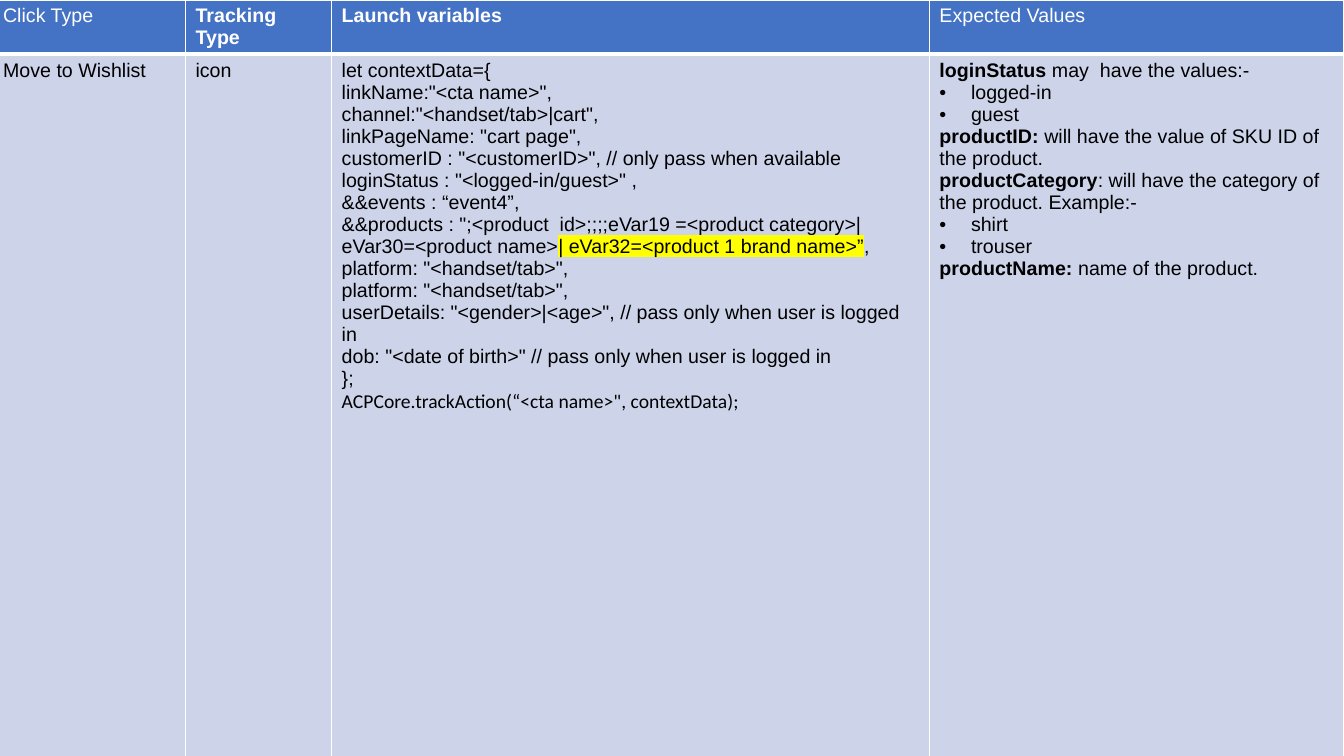
import pptx
import pptx.dml.color
import pptx.oxml
import pptx.oxml.ns
import pptx.util
from pptx.util import Pt

WHITE, BLACK = "FFFFFF", "000000"
HEADER_FILL, BODY_FILL, MARKER = "4472C4", "CDD4EA", "FFFF00"
COLUMN_WIDTHS = (137.5, 104.4, 427, 296)
ROW_HEIGHTS = (27.4, 512.6)
BULLET_INDENT = 22.5

# Each header is a (text, bold) pair.
HEADERS = (("Click Type", False), ("Tracking Type", True),
           ("Launch variables", True), ("Expected Values", False))

# A paragraph is a list of (text, style) spans; "\n" is a line break.
LAUNCH_VARIABLES = [
    [("let contextData={", {})],
    [('linkName:"<cta name>",', {})],
    [('channel:"<handset/tab>|cart",', {})],
    [('linkPageName: "cart page",', {})],
    [('customerID : "<customerID>", // only pass when available', {})],
    [('loginStatus : "<logged-in/guest>" ,\n&&events : “event4”,', {})],
    [('&&products : ";<product  id>;;;;eVar19 =<product category>|eVar30=<product name>', {}),
     ("| eVar32=<product 1 brand name>”", {"highlight": MARKER}),
     (",", {})],
    [('platform: "<handset/tab>",', {})],
    [('platform: "<handset/tab>",\n'
      'userDetails: "<gender>|<age>", // pass only when user is logged in\n'
      'dob: "<date of birth>" // pass only when user is logged in', {})],
    [("};", {})],
    [('ACPCore.trackAction(“<cta name>", contextData);', {"font": "Calibri"})],
]
BOLD = {"bold": True}
BULLET = "•"
EXPECTED_VALUES = [
    [("loginStatus ", BOLD), ("may  have the values:-", {})],
    [(BULLET, None), ("logged-in", {})],
    [(BULLET, None), ("guest", {})],
    [("productID:", BOLD), (" will have the value of SKU ID of the product.", {})],
    [("productCategory", BOLD),
     (": will have the category of the product. Example:-", {})],
    [(BULLET, None), ("shirt", {})],
    [(BULLET, None), ("trouser", {})],
    [("productName: ", BOLD), ("name of the product.", {})],
]


def color(hex_value):
    return pptx.dml.color.RGBColor.from_string(hex_value)


def xml(markup):
    """Parse one element, adding the a: namespace after its tag name and a space."""
    tag, rest = markup.split(" ", 1)
    return pptx.oxml.parse_xml(f"{tag} {pptx.oxml.ns.nsdecls('a')} {rest}")


def add_span(para, text, ink, font="Arial", bold=False, highlight=None):
    for index, line in enumerate(text.split("\n")):
        if index:
            para.add_line_break()
        span = para.add_run()
        span.text = line
        span.font.size = Pt(14)
        span.font.bold = bold
        span.font.color.rgb = color(ink)
        if highlight:
            fill = span.font._element.find(pptx.oxml.ns.qn("a:solidFill"))
            fill.addnext(xml(f'<a:highlight ><a:srgbClr val="{highlight}"/></a:highlight>'))
        span.font.name = font


def add_bullet(para):
    properties = para._p.get_or_add_pPr()
    properties.set("marL", str(Pt(BULLET_INDENT)))
    properties.set("indent", str(-Pt(BULLET_INDENT)))
    properties.append(xml(f'<a:buClr ><a:srgbClr val="{BLACK}"/></a:buClr>'))
    properties.append(xml('<a:buFont typeface="Arial"/>'))
    properties.append(xml(f'<a:buChar char="{BULLET}"/>'))


def set_borders(cell, top, bottom):
    properties = cell._tc.get_or_add_tcPr()
    for index, (side, width) in enumerate(
            (("L", 1), ("R", 1), ("T", top), ("B", bottom))):
        properties.insert(index, xml(
            f'<a:ln{side} w="{Pt(width)}"><a:solidFill><a:srgbClr val="{WHITE}"/>'
            f'</a:solidFill></a:ln{side}>'))


def fill_cell(cell, paragraphs, fill, ink, top, bottom):
    cell.fill.solid()
    cell.fill.fore_color.rgb = color(fill)
    set_borders(cell, top, bottom)
    frame = cell.text_frame
    for index, spans in enumerate(paragraphs):
        para = frame.add_paragraph() if index else frame.paragraphs[0]
        for text, style in spans:
            if style is None:
                add_bullet(para)
            else:
                add_span(para, text, ink, **style)


def add_tracking_table(page):
    table = page.shapes.add_table(
        len(ROW_HEIGHTS), len(COLUMN_WIDTHS), Pt(-5), Pt(0),
        Pt(sum(COLUMN_WIDTHS)), Pt(sum(ROW_HEIGHTS))).table
    for column, width in zip(table.columns, COLUMN_WIDTHS):
        column.width = Pt(width)
    for row, height in zip(table.rows, ROW_HEIGHTS):
        row.height = Pt(height)
    for index, (text, bold) in enumerate(HEADERS):
        fill_cell(table.cell(0, index), [[(text, {"bold": bold})]],
                  HEADER_FILL, WHITE, top=1, bottom=3)
    body = ([[("Move to Wishlist", {})]], [[("icon", {})]],
            LAUNCH_VARIABLES, EXPECTED_VALUES)
    for index, paragraphs in enumerate(body):
        fill_cell(table.cell(1, index), paragraphs,
                  BODY_FILL, BLACK, top=3, bottom=1)


def main():
    deck = pptx.Presentation()
    deck.slide_width, deck.slide_height = Pt(960), Pt(540)
    page = deck.slides.add_slide(deck.slide_layouts[6])
    add_tracking_table(page)
    deck.save("out.pptx")


if __name__ == "__main__":
    main()
